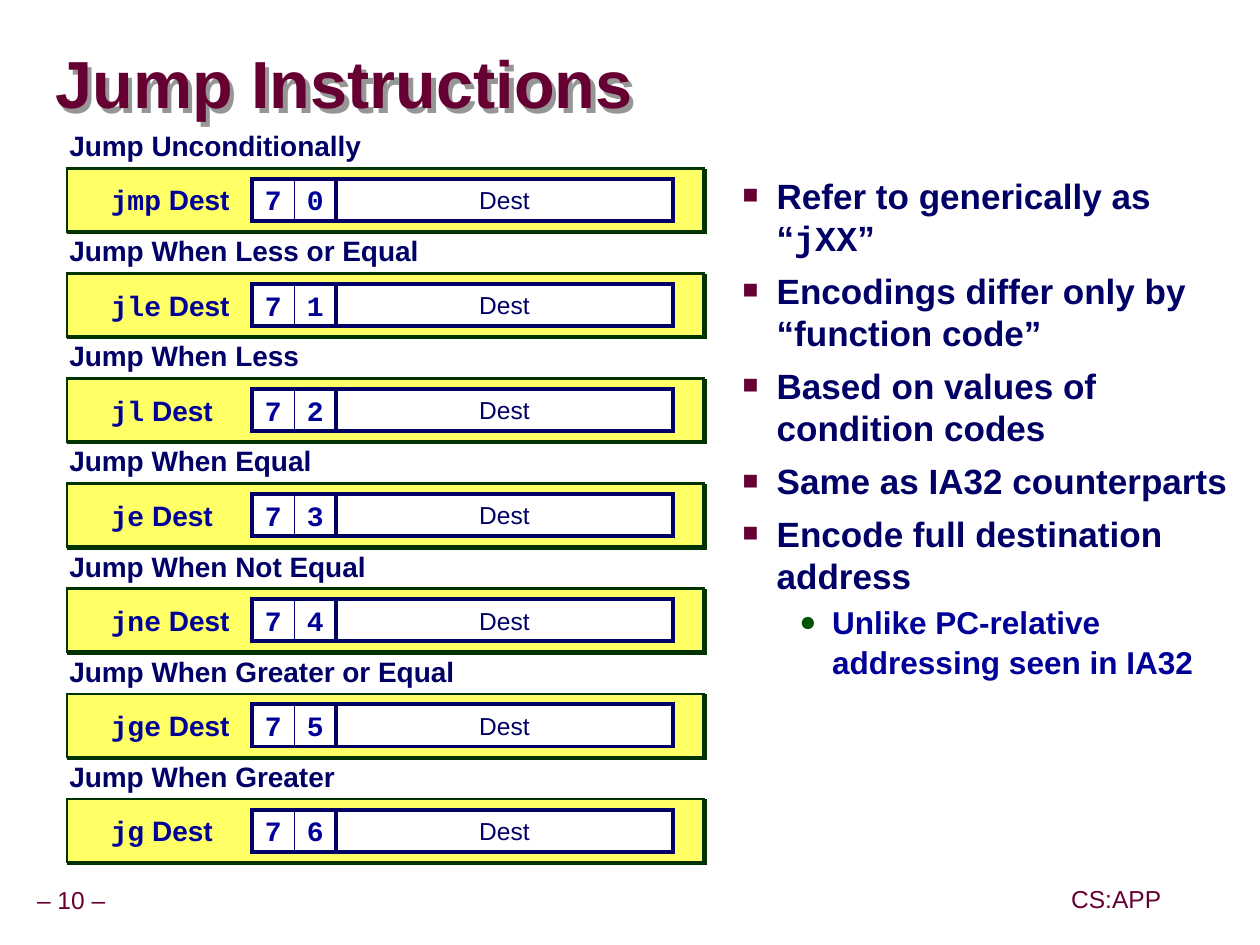
from lxml import etree
from pptx import Presentation
from pptx.dml.color import RGBColor
from pptx.enum.shapes import MSO_SHAPE
from pptx.enum.text import MSO_ANCHOR, PP_ALIGN
from pptx.oxml.ns import qn
from pptx.util import Inches, Pt

RECTANGLE = MSO_SHAPE.RECTANGLE
MIDDLE, TOP = MSO_ANCHOR.MIDDLE, MSO_ANCHOR.TOP
LEFT, CENTER = PP_ALIGN.LEFT, PP_ALIGN.CENTER
SANS, MONO = "Arial", "Courier New"
COLORS = {
    "maroon": "660033", "navy": "000066", "blue": "000099", "white": "FFFFFF",
    "yellow": "FFFF66", "forest": "003300", "green": "005400", "gray": "969696",
}
JUMPS = [
    ("Jump Unconditionally", "jmp"),
    ("Jump When Less or Equal", "jle"),
    ("Jump When Less", "jl"),
    ("Jump When Equal", "je"),
    ("Jump When Not Equal", "jne"),
    ("Jump When Greater or Equal", "jge"),
    ("Jump When Greater", "jg"),
]
FIRST_ROW = 1
ROW_PITCH = 5 / 6
CELL = 1 / 3
CODE_LEFT = 2
DEST_LEFT = CODE_LEFT + 2 * CELL
POINTS = [
    [("Refer to generically as “", SANS), ("jXX", MONO), ("”", SANS)],
    [("Encodings differ only by “function code”", SANS)],
    [("Based on values of condition codes", SANS)],
    [("Same as IA32 counterparts", SANS)],
    [("Encode full destination address", SANS)],
]
SUBPOINT = [("Unlike PC-relative addressing seen in IA32", SANS)]


def rgb(color):
    return RGBColor.from_string(COLORS[color])


def add_shadow(shape, color, distance):
    shape.shadow.inherit = False
    effects = shape._element.spPr.find(qn("a:effectLst"))
    shadow = etree.SubElement(effects, qn("a:outerShdw"), dist=str(Pt(distance)),
                              dir="2700000", algn="ctr", rotWithShape="0")
    etree.SubElement(shadow, qn("a:srgbClr"), val=COLORS[color])


def set_frame(shape, inset_x, inset_y, anchor=MIDDLE, wrap=False):
    frame = shape.text_frame
    frame.margin_left = frame.margin_right = Inches(inset_x)
    frame.margin_top = frame.margin_bottom = Inches(inset_y)
    frame.vertical_anchor = anchor
    frame.word_wrap = wrap
    return frame


def write(paragraph, runs, size, color, bold=False, align=LEFT, spacing=None):
    paragraph.alignment = align
    paragraph.line_spacing = spacing
    font = paragraph.font
    font.size, font.bold = Pt(size), bold
    font.color.rgb = rgb(color)
    if len({face for _, face in runs}) == 1:
        font.name = runs[0][1]
    for text, face in runs:
        run = paragraph.add_run()
        run.text = text
        if font.name is None:
            run.font.name = face


def add_text(shapes, box, runs, size, color, inset_x=0.05, inset_y=0.05,
             anchor=MIDDLE, wrap=False, **style):
    label = shapes.add_textbox(*map(Inches, box))
    frame = set_frame(label, inset_x, inset_y, anchor, wrap)
    write(frame.paragraphs[0], runs, size, color, **style)
    return label


def add_box(shapes, box, fill, line, weight):
    rect = shapes.add_shape(RECTANGLE, *map(Inches, box))
    rect.shadow.inherit = False
    if fill:
        rect.fill.solid()
        rect.fill.fore_color.rgb = rgb(fill)
    else:
        rect.fill.background()
    rect.line.color.rgb = rgb(line)
    rect.line.width = Pt(weight)
    outline = rect._element.spPr.find(qn("a:ln"))
    etree.SubElement(outline, qn("a:miter"), lim="800000")
    return rect


def add_field(shapes, box, weight, text, face, size, color, bold):
    field = add_box(shapes, box, "white", "navy", weight)
    frame = set_frame(field, 0.1, 0.05)
    write(frame.paragraphs[0], [(text, face)], size, color, bold, CENTER)


def add_jump(slide, index, caption, mnemonic):
    top = FIRST_ROW + index * ROW_PITCH
    field_top = top + 5 / 12
    shapes = slide.shapes.add_group_shape().shapes
    panel = add_box(shapes, (0.53, top + CELL, 5.05, 0.5), "yellow", "forest", 1.5)
    add_shadow(panel, "forest", 1.4)
    add_text(shapes, (0.78, field_top, 1.22, CELL),
             [(mnemonic, MONO), (" Dest", SANS)], 16, "blue", inset_x=0.1, bold=True)
    for column, digit in enumerate(("7", str(index))):
        add_field(shapes, (CODE_LEFT + column * CELL, field_top, CELL, CELL),
                  0.5, digit, MONO, 16, "blue", True)
    add_box(shapes, (CODE_LEFT, field_top, 2 * CELL, CELL), None, "navy", 2.25)
    add_text(shapes, (0.5, top, 3.5, 0.34), [(caption, SANS)], 16, "navy",
             anchor=TOP, wrap=True, bold=True, spacing=0.9)
    add_field(shapes, (DEST_LEFT, field_top, 8 * CELL, CELL),
              2.25, "Dest", SANS, 14, "navy", False)


def add_bullet(paragraph, char, color, percent, margin, hanging):
    properties = paragraph._p.get_or_add_pPr()
    properties.set("marL", str(Inches(margin)))
    properties.set("indent", str(-Inches(hanging)))
    bullet_color = etree.SubElement(properties, qn("a:buClr"))
    etree.SubElement(bullet_color, qn("a:srgbClr"), val=COLORS[color])
    etree.SubElement(properties, qn("a:buSzPct"), val=str(percent * 1000))
    etree.SubElement(properties, qn("a:buFont"), typeface=SANS)
    etree.SubElement(properties, qn("a:buChar"), char=char)


def add_points(slide):
    body = slide.shapes.add_textbox(*map(Inches, (5.25, 1.33, 4.74, 5.7)))
    frame = set_frame(body, 0.1, 0.05, TOP, True)
    for index, runs in enumerate(POINTS):
        paragraph = frame.add_paragraph() if index else frame.paragraphs[0]
        paragraph.level = 1
        add_bullet(paragraph, "■", "maroon", 75, 0.81, 0.27)
        if index:
            paragraph.space_before = Pt(6.2)
        write(paragraph, runs, 20, "navy", bold=True, spacing=1.0)
    detail = frame.add_paragraph()
    detail.level = 2
    add_bullet(detail, "●", "green", 90, 1.25, 0.26)
    detail.space_before = Pt(2.2)
    write(detail, SUBPOINT, 18, "blue", bold=True, spacing=1.07)


def main():
    deck = Presentation()
    deck.slide_width, deck.slide_height = Inches(9.99), Inches(7.49)
    slide = deck.slides.add_slide(deck.slide_layouts[6])
    for box, text in (((-0.09, 6.99, 1.31, 0.31), "– 10 –"),
                      ((8.44, 6.98, 0.82, 0.31), "CS:APP")):
        add_text(slide.shapes, box, [(text, SANS)], 14, "maroon",
                 align=CENTER, spacing=0.9)
    title = add_text(slide.shapes, (0.44, 0.27, 9.52, 0.85),
                     [("Jump Instructions", SANS)], 38, "maroon",
                     inset_x=0, inset_y=0, wrap=True, bold=True, spacing=0.87)
    add_shadow(title, "gray", 3.6)
    add_points(slide)
    for index, jump in enumerate(JUMPS):
        add_jump(slide, index, *jump)
    deck.save("out.pptx")


if __name__ == "__main__":
    main()
